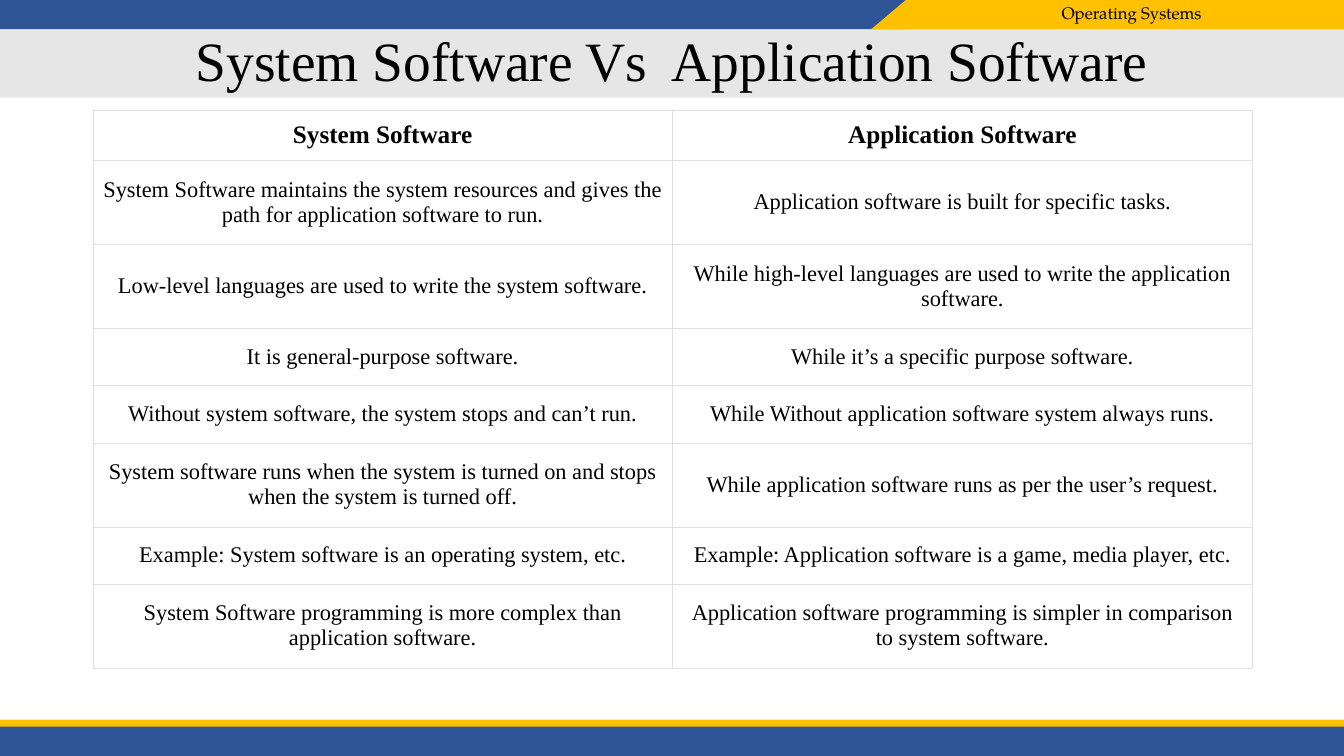
"""Build the slide that compares system software with application software."""
from lxml import etree
from pptx import Presentation
from pptx import util as u
from pptx.dml.color import RGBColor
from pptx.enum import shapes, text
from pptx.oxml import ns

COLORS = {"blue": "2F5597", "gold": "FFC000", "grey": "E7E6E6",
          "border": "DFDFDF", "white": "FFFFFF", "black": "000000"}
SERIF = "Times New Roman"
FORMATS = {
    "topic": {"name": "TeX Gyre Pagella", "size": u.Pt(12), "bold": False},
    "title": {"name": SERIF, "size": u.Pt(39.6), "bold": False},
    "head": {"name": SERIF, "size": u.Pt(18), "bold": True},
    "body": {"name": SERIF, "size": u.Pt(16), "bold": False},
}
RECT = shapes.MSO_SHAPE.RECTANGLE
BANDS = [
    (RECT, "blue", (-0.01, -0.03, 9.03, 0.32), 0),
    (RECT, "gold", (9.01, -0.03, 4.32, 0.32), 0),
    (shapes.MSO_SHAPE.RIGHT_TRIANGLE, "gold", (8.67, -0.06, 0.32, 0.38), 270),
    (RECT, "blue", (0, 7.19, 13.33, 0.33), 0),
    (RECT, "gold", (-0.01, 7.14, 13.34, 0.07), 0),
]
ROWS = [
    (0.48, "System Software", "Application Software"),
    (0.78, "System Software maintains the system resources and gives the path for application software to run.",
     "Application software is built for specific tasks."),
    (0.78, "Low-level languages are used to write the system software.",
     "While high-level languages are used to write the application software."),
    (0.54, "It is general-purpose software.",
     "While it’s a specific purpose software."),
    (0.54, "Without system software, the system stops and can’t run.",
     "While Without application software system always runs."),
    (0.78, "System software runs when the system is turned on and stops when the system is turned off.",
     "While application software runs as per the user’s request."),
    (0.54, "Example: System software is an operating system, etc.",
     "Example: Application software is a game, media player, etc."),
    (0.78, "System Software programming is more complex than application software.",
     "Application software programming is simpler in comparison to system software."),
]


def set_attrs(obj, values):
    """Set each attribute of an object from a dict."""
    for name, value in values.items():
        setattr(obj, name, value)


def box(*lengths):
    """Turn numbers into lengths in inches."""
    return [u.Inches(n) for n in lengths]


def paint(fill, color):
    """Give a fill one solid colour."""
    fill.solid()
    fill.fore_color.rgb = RGBColor.from_string(COLORS[color])


def write(tf, words, style, align=text.PP_ALIGN.CENTER):
    """Write one formatted paragraph and return it."""
    p = tf.paragraphs[0]
    p.alignment = align
    r = p.add_run()
    r.text = words
    set_attrs(r.font, FORMATS[style])
    r.font.color.rgb = RGBColor.from_string(COLORS["black"])
    return p


def add_band(s, kind, color, place, rotation):
    """Add a plain coloured shape."""
    sp = s.shapes.add_shape(kind, *box(*place))
    sp.rotation = rotation
    sp.shadow.inherit = False
    sp.line.fill.background()
    paint(sp.fill, color)


def add_topic(s, words):
    """Add the course name in the top band."""
    tf = s.shapes.add_textbox(*box(10.43, -0.07, 2.19, 0.4)).text_frame
    set_attrs(tf, {"word_wrap": True, "vertical_anchor": text.MSO_ANCHOR.MIDDLE})
    write(tf, words, "topic", text.PP_ALIGN.LEFT)


def set_title(s, words):
    """Place and fill the title placeholder."""
    sp = s.shapes.title
    set_attrs(sp, dict(zip(("left", "top", "width", "height"), box(0, 0.29, 13.33, 0.68))))
    paint(sp.fill, "grey")
    set_attrs(sp.text_frame, {"auto_size": text.MSO_AUTO_SIZE.NONE,
                              "vertical_anchor": text.MSO_ANCHOR.MIDDLE})
    write(sp.text_frame, words, "title").line_spacing = 0.9


def add_borders(cell):
    """Draw a thin line on all four sides of a cell."""
    tc_pr = cell._tc.get_or_add_tcPr()
    for side in ("a:lnL", "a:lnR", "a:lnT", "a:lnB"):
        ln = etree.SubElement(tc_pr, ns.qn(side), w=str(u.Pt(0.23)))
        fill = etree.SubElement(ln, ns.qn("a:solidFill"))
        etree.SubElement(fill, ns.qn("a:srgbClr"), val=COLORS["border"])


def add_comparison(s):
    """Add the table that sets the two kinds of software side by side."""
    height = sum(row[0] for row in ROWS)
    table = s.shapes.add_table(len(ROWS), 2, *box(0.92, 1.09, 11.5, height)).table
    set_attrs(table, {"first_row": False, "horz_banding": False})
    for i, (row_height, *entries) in enumerate(ROWS):
        table.rows[i].height = u.Inches(row_height)
        style, pad = ("body", 0.15) if i else ("head", 0.1)
        for j, words in enumerate(entries):
            cell = table.cell(i, j)
            add_borders(cell)
            paint(cell.fill, "white")
            set_attrs(cell, {"vertical_anchor": text.MSO_ANCHOR.MIDDLE,
                             "margin_left": u.Inches(0.1), "margin_right": u.Inches(0.1),
                             "margin_top": u.Inches(pad), "margin_bottom": u.Inches(pad)})
            write(cell.text_frame, words, style)


def main():
    """Build and save the slide."""
    prs = Presentation()
    set_attrs(prs, {"slide_width": u.Inches(13.33), "slide_height": u.Inches(7.5)})
    s = prs.slides.add_slide(prs.slide_layouts[5])
    for band in BANDS:
        add_band(s, *band)
    add_topic(s, "Operating Systems")
    set_title(s, "System Software Vs  Application Software")
    add_comparison(s)
    prs.save("out.pptx")


if __name__ == "__main__":
    main()
